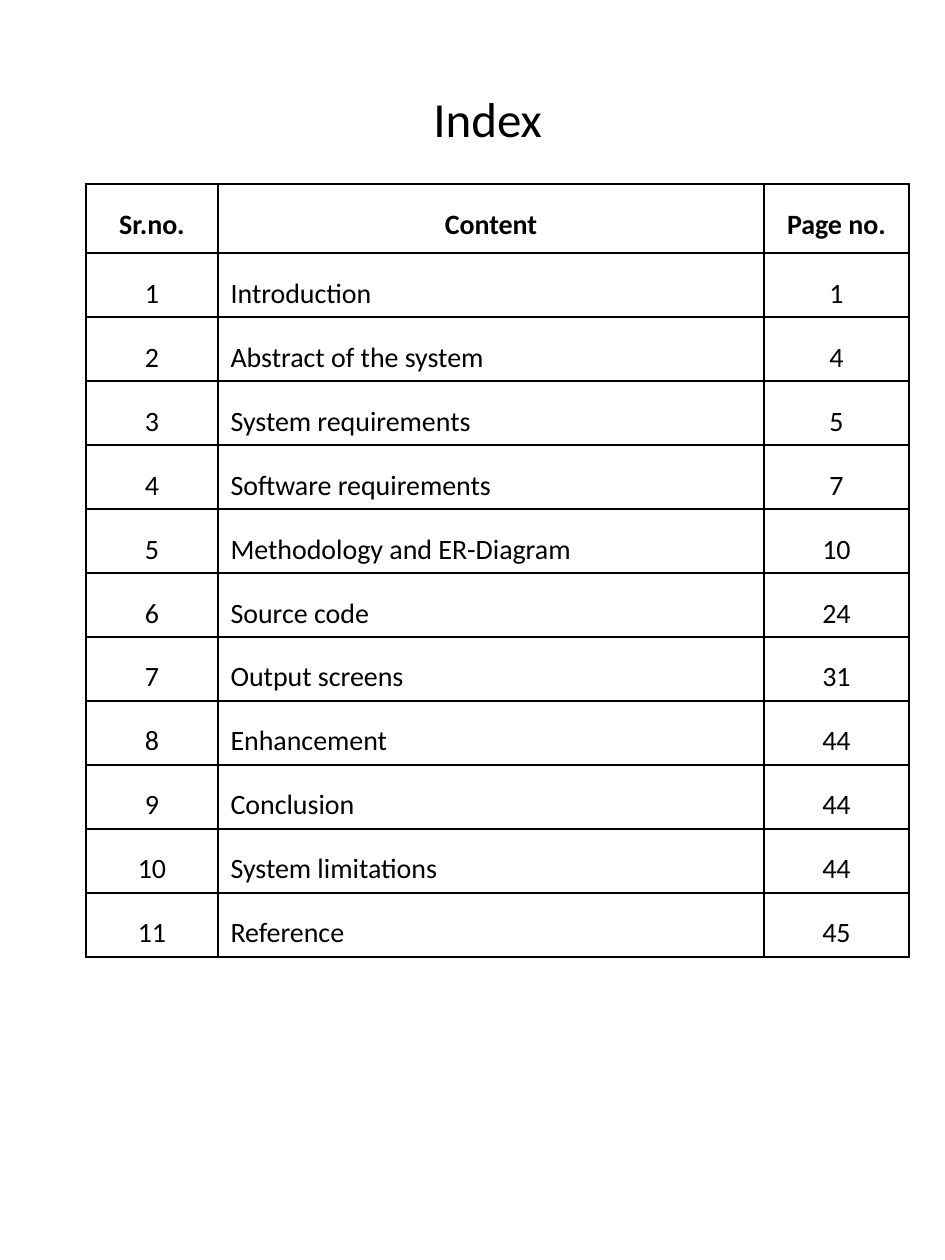
"""Builds the index page of a project report."""
from lxml import etree
from pptx import Presentation, util as u
from pptx.dml.color import RGBColor
from pptx.enum import text
from pptx.oxml import ns

COLORS = {"ink": "000000", "paper": "FFFFFF"}
CONTENTS = [
    ("Introduction", 1),
    ("Abstract of the system", 4),
    ("System requirements", 5),
    ("Software requirements", 7),
    ("Methodology and ER-Diagram", 10),
    ("Source code", 24),
    ("Output screens", 31),
    ("Enhancement", 44),
    ("Conclusion", 44),
    ("System limitations", 44),
    ("Reference", 45),
]


class IndexPage:
    def __init__(self, deck):
        self.page = deck.slides.add_slide(deck.slide_layouts[6])
        self.font = "Calibri"

    @staticmethod
    def px(*lengths):
        return [round(length * u.Inches(1) / 126) for length in lengths]

    def label(self, para, words, align=text.PP_ALIGN.LEFT, spacing=1.0, **style):
        para.alignment = align
        para.line_spacing = spacing
        span = para.add_run()
        span.text = words
        for name, value in {"name": self.font, **style}.items():
            setattr(span.font, name, value)
        span.font.color.rgb = RGBColor.from_string(COLORS["ink"])

    def title(self, words, *place):
        box = self.page.shapes.add_textbox(*self.px(*place))
        box.text_frame.word_wrap = True
        box.text_frame.auto_size = text.MSO_AUTO_SIZE.SHAPE_TO_FIT_TEXT
        self.label(box.text_frame.paragraphs[0], words, size=u.Pt(28))

    def border(self, cell):
        for side in ("a:lnL", "a:lnR", "a:lnT", "a:lnB"):
            line = etree.SubElement(cell._tc.get_or_add_tcPr(), ns.qn(side), w=str(u.Pt(1)))
            fill = etree.SubElement(line, ns.qn("a:solidFill"))
            etree.SubElement(fill, ns.qn("a:srgbClr"), val=COLORS["ink"])

    def table(self, rows, left, top, widths, heights):
        place = self.px(left, top, sum(widths), sum(heights))
        grid = self.page.shapes.add_table(len(rows), len(widths), *place).table
        grid.horz_banding = False
        for column, width in zip(grid.columns, self.px(*widths)):
            column.width = width
        for line, height in zip(grid.rows, self.px(*heights)):
            line.height = height
        for r, row in enumerate(rows):
            for c, words in enumerate(row):
                cell = grid.cell(r, c)
                self.border(cell)
                cell.fill.solid()
                cell.fill.fore_color.rgb = RGBColor.from_string(COLORS["paper"])
                left_aligned = r > 0 and c == 1
                align = text.PP_ALIGN.LEFT if left_aligned else text.PP_ALIGN.CENTER
                self.label(cell.text_frame.paragraphs[0], str(words), align, 1.5,
                           size=u.Pt(16), bold=r == 0)


def main():
    deck = Presentation()
    deck.slide_width, deck.slide_height = u.Inches(7.5), u.Inches(10)
    index = IndexPage(deck)
    rows = [("Sr.no.", "Content", "Page no.")]
    rows += [(number, *entry) for number, entry in enumerate(CONTENTS, 1)]
    index.table(rows, 86, 184, [132, 546, 145], [69] + [64] * len(CONTENTS))
    index.title("Index", 421, 82, 271, 72)
    deck.save("out.pptx")


if __name__ == "__main__":
    main()
